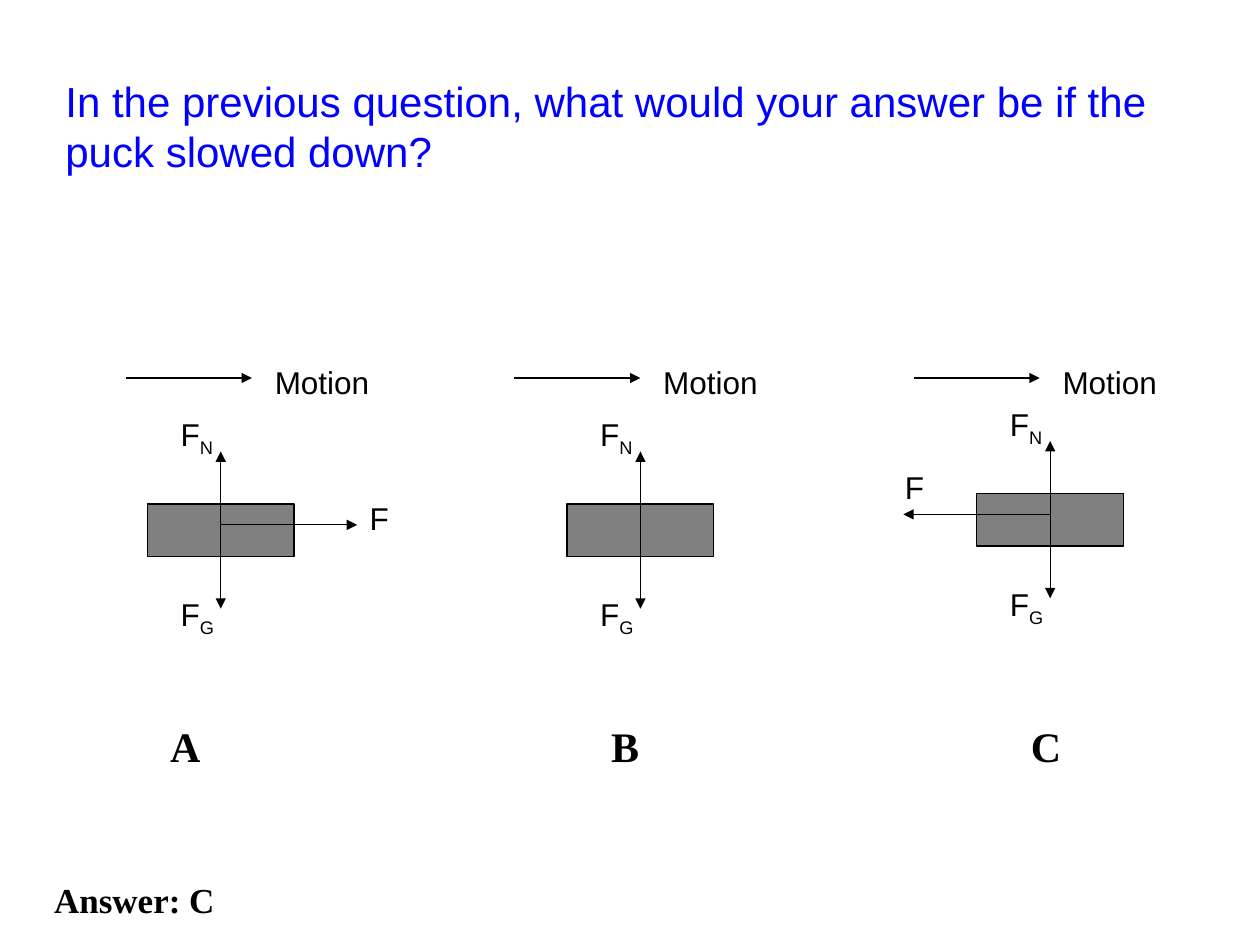
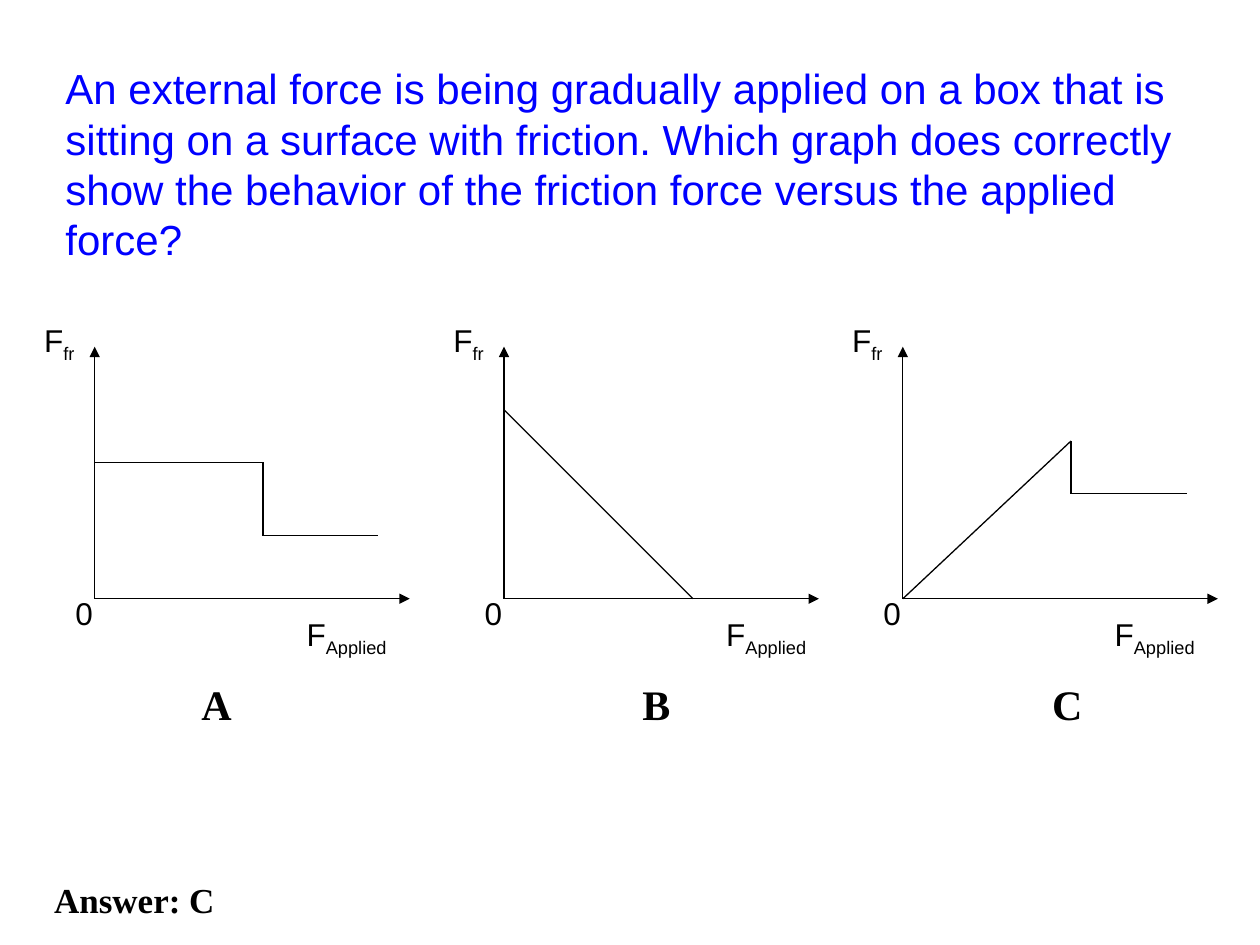
from dataclasses import dataclass
from itertools import pairwise
from pptx import Presentation
from pptx.dml.color import RGBColor
from pptx.enum.shapes import MSO_CONNECTOR, MSO_SHAPE
from pptx.enum.text import MSO_ANCHOR, MSO_AUTO_SIZE
from pptx.oxml.ns import qn
from pptx.util import Cm, Pt
from lxml.etree import SubElement


@dataclass(frozen=True)
class Theme:
    blue: RGBColor = RGBColor(0x00, 0x00, 0xFF)
    black: RGBColor = RGBColor(0x00, 0x00, 0x00)
    gray: RGBColor = RGBColor(0x80, 0x80, 0x80)
    sans: str = "Arial"
    serif: str = "Times New Roman"
    big: int = 24
    mid: int = 20
    small: int = 18
    line: float = 0.75


THEME = Theme()

PUCK_ASK = {
    "text": "In the previous question, what would your answer be if the puck slowed down?",
    "top": 1.27, "high": 2.54, "reply": "Answer: C",
}
PUCKS = [
    {"name": "A", "name_x": 3.18, "mid": (4.45, 10.58), "move_x": 2.54,
     "push": 2.75, "push_at": (2.75, -0.64)},
    {"name": "B", "name_x": 12.07, "mid": (12.91, 10.58), "move_x": 10.37},
    {"name": "C", "name_x": 20.53, "mid": (21.17, 10.37), "move_x": 18.42,
     "push": -2.96, "push_at": (-3.18, -1.06)},
]
GRAPH_ASK = {
    "text": "An external force is being gradually applied on a box that is sitting on a "
            "surface with friction. Which graph does correctly show the behavior of the "
            "friction force versus the applied force?",
    "top": 1.07, "high": 4.45, "reply": "Answer: C",
}
GRAPHS = [
    {"name": "A", "name_x": 3.81, "zero_x": 1.91, "force_x": 5.93,
     "curve": [(0, 2.75), (3.39, 2.75), (3.39, 1.27), (5.72, 1.27)]},
    {"name": "B", "name_x": 12.7, "zero_x": 10.16, "force_x": 14.39,
     "curve": [(0, 3.81), (3.81, 0)]},
    {"name": "C", "name_x": 20.96, "zero_x": 18.2, "force_x": 22.22,
     "curve": [(0, 0), (3.39, 3.18), (3.39, 2.12), (5.72, 2.12)]},
]


def write(slide, text, x, y, wide, high=1.02, font=THEME.sans, size=THEME.small,
          color=THEME.black, bold=False, fit=True):
    box = slide.shapes.add_textbox(Cm(x), Cm(y), Cm(wide), Cm(high))
    frame = box.text_frame
    frame.word_wrap = True
    frame.auto_size = MSO_AUTO_SIZE.SHAPE_TO_FIT_TEXT if fit else MSO_AUTO_SIZE.NONE
    frame.vertical_anchor = MSO_ANCHOR.TOP if fit else MSO_ANCHOR.MIDDLE
    for rank, part in enumerate(text.split("_")):
        run = frame.paragraphs[0].add_run()
        run.text = part
        run.font.name = font
        run.font.size = Pt(size)
        run.font.bold = bold
        run.font.color.rgb = color
        if rank:
            run._r.get_or_add_rPr().set("baseline", "-25000")


def draw(slide, start, end, arrow=True):
    line = slide.shapes.add_connector(MSO_CONNECTOR.STRAIGHT, *map(Cm, (*start, *end)))
    line.line.color.rgb = THEME.black
    line.line.width = Pt(THEME.line)
    if arrow:
        SubElement(line.line._get_or_add_ln(), qn("a:tailEnd"), type="triangle")
    SubElement(line._element.spPr, qn("a:effectLst"))


def frame_ask(deck, ask):
    slide = deck.slides.add_slide(deck.slide_layouts[6])
    write(slide, ask["text"], 1.07, ask["top"], 23.93, ask["high"],
          size=THEME.big, color=THEME.blue, fit=False)
    write(slide, ask["reply"], 0.84, 17.58, 7.82, 1.12,
          font=THEME.serif, size=THEME.mid, bold=True)
    return slide


def name_part(slide, part, y):
    write(slide, part["name"], part["name_x"], y, 1.48, 1.27,
          font=THEME.serif, size=THEME.big, bold=True)


def add_puck(slide, puck):
    x, y = puck["mid"]
    block = slide.shapes.add_shape(
        MSO_SHAPE.RECTANGLE, Cm(x - 1.48), Cm(y - 0.42), Cm(2.96), Cm(1.06))
    block.shadow.inherit = False
    block.fill.solid()
    block.fill.fore_color.rgb = THEME.gray
    block.line.color.rgb = THEME.black
    block.line.width = Pt(THEME.line)
    for label, tip, drop in (("F_N", -1.48, -2.33), ("F_G", 1.69, 1.3)):
        draw(slide, (x, y), (x, y + tip))
        write(slide, label, x - 1.06, y + drop, 1.27, 1.12)
    if "push" in puck:
        draw(slide, (x, y), (x + puck["push"], y))
        side, drop = puck["push_at"]
        write(slide, "F", x + side, y + drop, 1.27)
    move = puck["move_x"]
    draw(slide, (move, 7.62), (move + 2.54, 7.62))
    write(slide, "Motion", move + 2.75, 7.2, 3.18)
    name_part(slide, puck, 14.39)


def add_graph(slide, graph):
    x, y = graph["zero_x"], 12.07
    draw(slide, (x, y), (x, y - 5.08))
    draw(slide, (x, y), (x + 6.35, y))
    spots = [(x + right, y - rise) for right, rise in graph["curve"]]
    for start, end in pairwise(spots):
        draw(slide, start, end, arrow=False)
    write(slide, "F_fr", x - 1.27, 6.35, 1.7, 1.12)
    write(slide, "F_Applied", graph["force_x"], 12.28, 2.54, 1.12)
    write(slide, "0", x - 0.64, 11.86, 1.27)
    name_part(slide, graph, 13.55)


def main():
    deck = Presentation()
    deck.slide_width, deck.slide_height = Cm(25.4), Cm(19.05)
    for ask, parts, add in ((PUCK_ASK, PUCKS, add_puck), (GRAPH_ASK, GRAPHS, add_graph)):
        slide = frame_ask(deck, ask)
        for part in parts:
            add(slide, part)
    deck.save("out.pptx")


if __name__ == "__main__":
    main()
